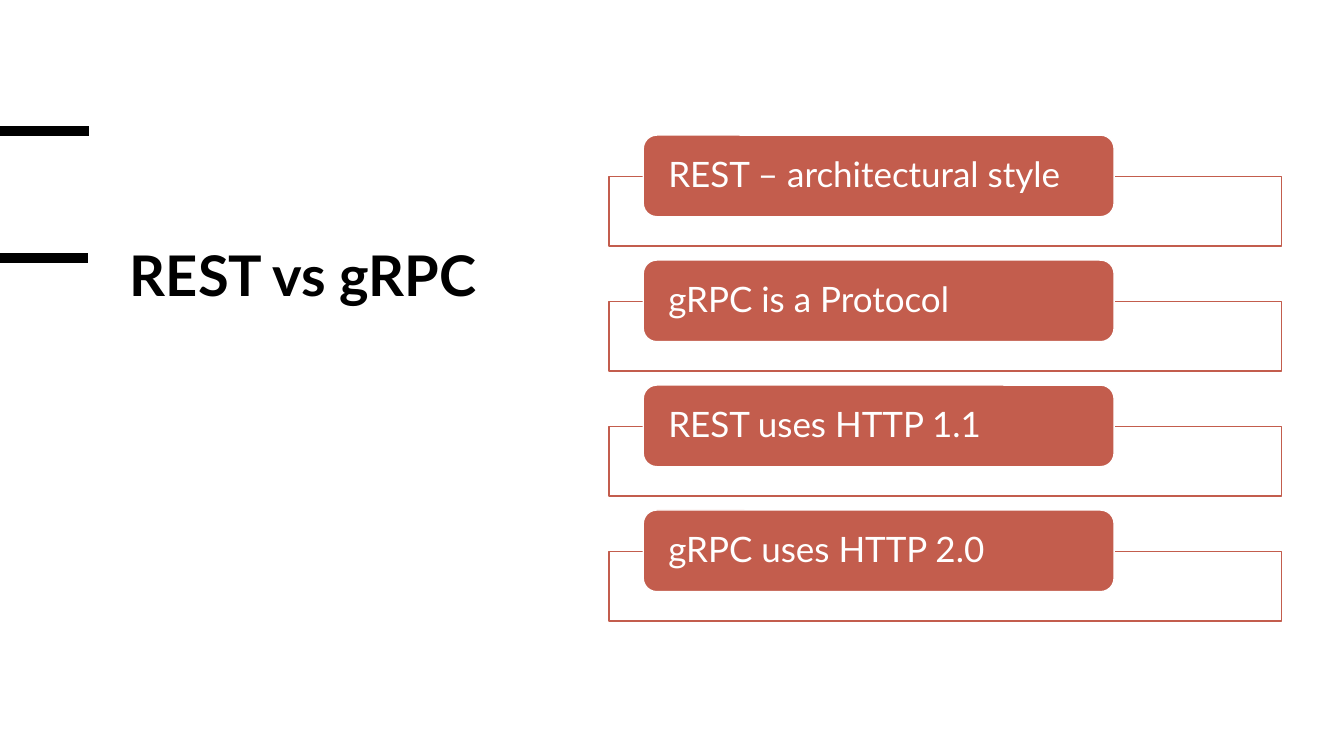
from lxml import etree
from pptx import Presentation
from pptx.dml.color import RGBColor
from pptx.enum.shapes import MSO_CONNECTOR, MSO_SHAPE
from pptx.enum.text import MSO_ANCHOR, PP_ALIGN
from pptx.oxml.ns import qn
from pptx.util import Inches, Pt

RECT, ROUNDED = MSO_SHAPE.RECTANGLE, MSO_SHAPE.ROUNDED_RECTANGLE
STRAIGHT = MSO_CONNECTOR.STRAIGHT
TOP, MIDDLE = MSO_ANCHOR.TOP, MSO_ANCHOR.MIDDLE
LEFT = PP_ALIGN.LEFT

COLORS = {"ink": "000000", "paper": "FFFFFF", "accent": "C35D4D"}
FONT = "Lato"
POINTS = [
    "REST – architectural style",
    "gRPC is a Protocol",
    "REST uses HTTP 1.1",
    "gRPC uses HTTP 2.0",
]
FIRST_TOP, STEP = 1.34, 1.24


class Deck:
    """Holds the style and the current slide."""

    def __init__(self, slide):
        self.shapes = slide.shapes

    def color(self, name):
        return RGBColor.from_string(COLORS[name])

    def line(self, x1, x2, y, width):
        c = self.shapes.add_connector(
            STRAIGHT, Inches(x1), Inches(y), Inches(x2), Inches(y))
        c.line.color.rgb = self.color("ink")
        c.line.width = Pt(width)
        etree.SubElement(c._element.spPr, qn("a:effectLst"))

    def box(self, kind, x, y, w, h, fill, line, opacity=100):
        sp = self.shapes.add_shape(
            kind, Inches(x), Inches(y), Inches(w), Inches(h))
        sp.shadow.inherit = False
        sp.fill.solid()
        sp.fill.fore_color.rgb = self.color(fill)
        if opacity < 100:
            rgb = sp._element.spPr.find(qn("a:solidFill"))[0]
            etree.SubElement(rgb, qn("a:alpha"), val=str(opacity * 1000))
        sp.line.color.rgb = self.color(line)
        sp.line.width = Pt(1)
        return sp

    def text_box(self, x, y, w, h):
        return self.shapes.add_textbox(
            Inches(x), Inches(y), Inches(w), Inches(h))

    def add_text(self, sp, text, size, color, spacing, anchor,
                 inset=(0.1, 0.05), bold=False):
        tf = sp.text_frame
        tf.word_wrap = True
        tf.vertical_anchor = anchor
        tf.margin_left = tf.margin_right = Inches(inset[0])
        tf.margin_top = tf.margin_bottom = Inches(inset[1])
        p = tf.paragraphs[0]
        p.alignment = LEFT
        p.line_spacing = spacing
        r = p.add_run()
        r.text = text
        r.font.name = FONT
        r.font.size = Pt(size)
        r.font.bold = bold
        r.font.color.rgb = self.color(color)


def main():
    prs = Presentation()
    prs.slide_width, prs.slide_height = Inches(13.33), Inches(7.5)
    deck = Deck(prs.slides.add_slide(prs.slide_layouts[6]))

    deck.line(0, 0.88, 1.3, 6.75)
    title = deck.text_box(1.19, 2.44, 4.16, 3.67)
    deck.add_text(title, "REST vs gRPC", 40, "ink", 0.85, TOP, bold=True)
    deck.line(-0.01, 0.87, 2.56, 6.75)

    for i, point in enumerate(POINTS):
        top = FIRST_TOP + i * STEP
        deck.box(RECT, 6.04, top + 0.41, 6.67, 0.69, "paper", "accent", 90)
        label = deck.box(ROUNDED, 6.38, top, 4.67, 0.81, "accent", "paper")
        deck.add_text(label, point, 25, "paper", 0.9, MIDDLE, inset=(0.21, 0))

    prs.save("out.pptx")


if __name__ == "__main__":
    main()
